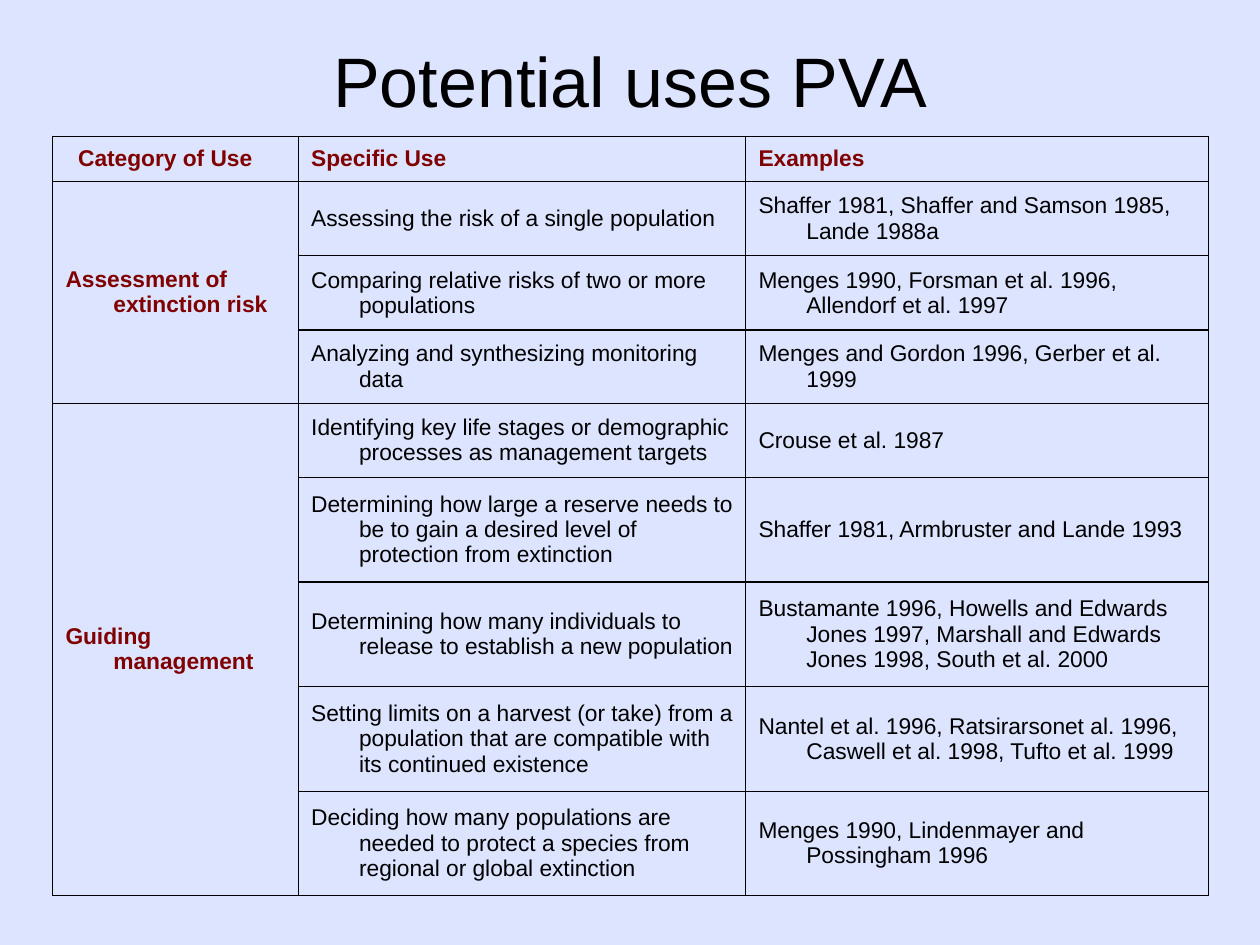
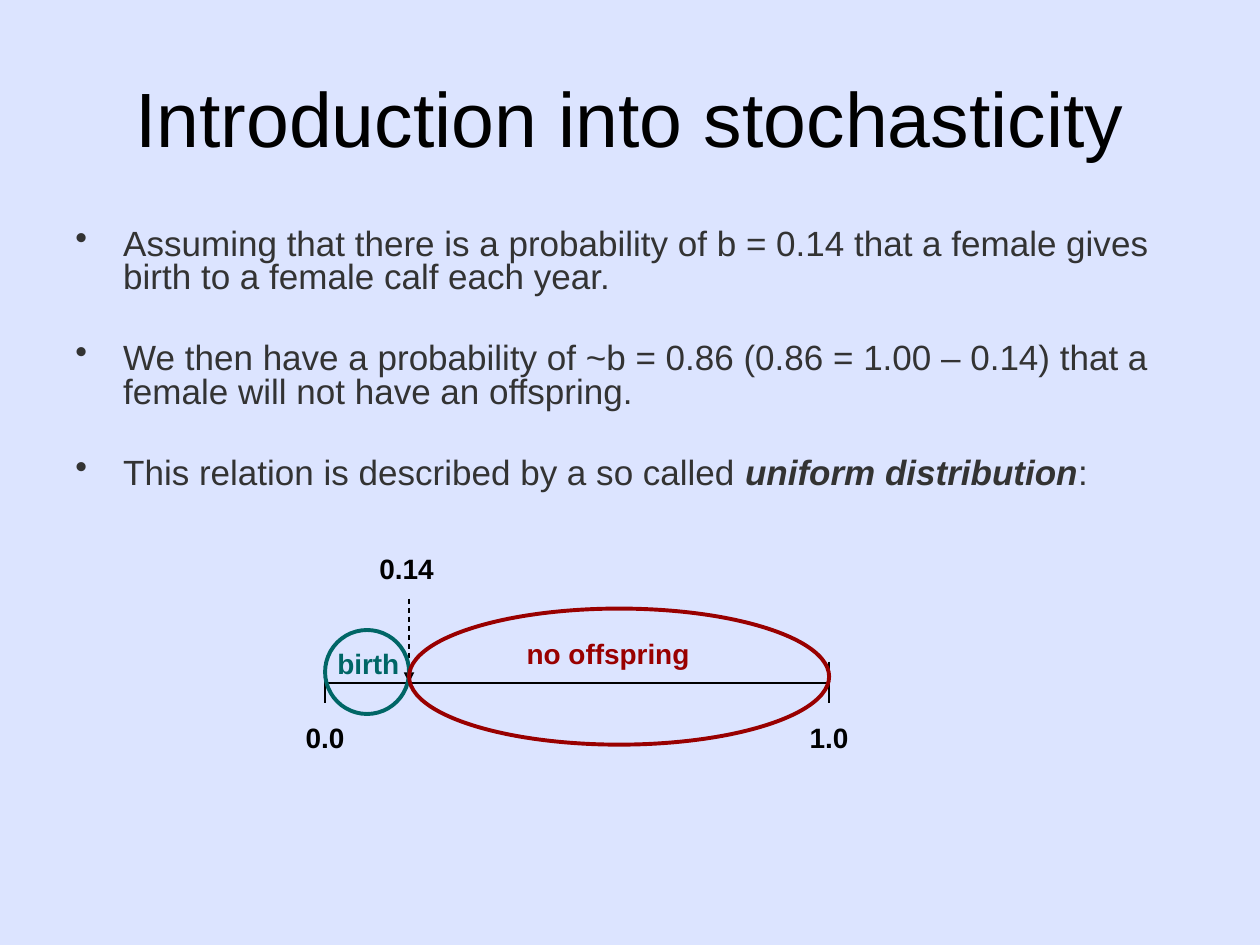
from lxml import etree
from pptx import Presentation
from pptx.dml.color import RGBColor
from pptx.enum.dml import MSO_LINE
from pptx.enum.shapes import MSO_CONNECTOR, MSO_SHAPE
from pptx.enum.text import MSO_ANCHOR, PP_ALIGN
from pptx.oxml.ns import qn
from pptx.util import Inches, Pt

LEFT, CENTER = PP_ALIGN.LEFT, PP_ALIGN.CENTER
TOP, MIDDLE = MSO_ANCHOR.TOP, MSO_ANCHOR.MIDDLE
STRAIGHT, OVAL, DASH = MSO_CONNECTOR.STRAIGHT, MSO_SHAPE.OVAL, MSO_LINE.DASH

FONT = "Arial"
BACKGROUND = "DCE4FF"
BLACK = "000000"
BODY = "333333"
HEADING = "800000"
BIRTH = "006666"
NO_OFFSPRING = "990000"
HANGING = 0.38

COLUMN_WIDTHS = (1.95, 3.55, 3.67)
ROW_HEIGHTS = (0.36, 0.59, 0.59, 0.58, 0.59, 0.83, 0.83, 0.83, 0.83)
HEADERS = ("Category of Use", "Specific Use", "Examples")
USES = {
    "Assessment of extinction risk": (
        ("Assessing the risk of a single population",
         "Shaffer 1981, Shaffer and Samson 1985, Lande 1988a"),
        ("Comparing relative risks of two or more populations",
         "Menges 1990, Forsman et al. 1996, Allendorf et al. 1997"),
        ("Analyzing and synthesizing monitoring data",
         "Menges and Gordon 1996, Gerber et al. 1999"),
    ),
    "Guiding management": (
        ("Identifying key life stages or demographic processes as management targets",
         "Crouse et al. 1987"),
        ("Determining how large a reserve needs to be to gain a desired level of "
         "protection from extinction",
         "Shaffer 1981, Armbruster and Lande 1993"),
        ("Determining how many individuals to release to establish a new population",
         "Bustamante 1996, Howells and Edwards Jones 1997, Marshall and Edwards "
         "Jones 1998, South et al. 2000"),
        ("Setting limits on a harvest (or take) from a population that are "
         "compatible with its continued existence",
         "Nantel et al. 1996, Ratsirarsonet al. 1996, Caswell et al. 1998, "
         "Tufto et al. 1999"),
        ("Deciding how many populations are needed to protect a species from "
         "regional or global extinction",
         "Menges 1990, Lindenmayer and Possingham 1996"),
    ),
}
BULLETS = (
    [("Assuming that there is a probability of b = 0.14 that a female gives "
      "birth to a female calf each year.", False)],
    [("We then have a probability of ~b = 0.86 (0.86 = 1.00 – 0.14) that a "
      "female will not have an offspring.", False)],
    [("This relation is described by a so called ", False),
     ("uniform distribution", True), (":", False)],
)


def color(value):
    return RGBColor.from_string(value)


def write(paragraph, text, size=16, fill=BLACK, bold=False, italic=False,
          align=LEFT, hanging=0, bullet=None):
    """Add one formatted run; repeated calls extend the paragraph."""
    properties = paragraph._p.get_or_add_pPr()
    if hanging:
        properties.set("marL", str(Inches(hanging)))
        properties.set("indent", str(-Inches(hanging)))
    if bullet and properties.find(qn("a:buChar")) is None:
        etree.SubElement(properties, qn("a:buChar"), char=bullet)
    paragraph.alignment = align
    run = paragraph.add_run()
    run.text = text
    font = run.font
    font.name, font.size, font.bold, font.italic = FONT, Pt(size), bold, italic
    font.color.rgb = color(fill)


def add_box(shapes, left, top, width, height, anchor=TOP, wrap=True):
    box = shapes.add_textbox(Inches(left), Inches(top), Inches(width), Inches(height))
    frame = box.text_frame
    frame.word_wrap = wrap
    frame.vertical_anchor = anchor
    return frame


def add_slide(presentation, title, top, height, size):
    slide = presentation.slides.add_slide(presentation.slide_layouts[6])
    slide.background.fill.solid()
    slide.background.fill.fore_color.rgb = color(BACKGROUND)
    frame = add_box(slide.shapes, 0.5, top, 9, height, anchor=MIDDLE)
    write(frame.paragraphs[0], title, size=size, align=CENTER)
    return slide


def add_borders(cell):
    properties = cell._tc.get_or_add_tcPr()
    for position, side in enumerate(("a:lnL", "a:lnR", "a:lnT", "a:lnB")):
        border = etree.Element(qn(side), w=str(Pt(0.75)))
        fill = etree.SubElement(border, qn("a:solidFill"))
        etree.SubElement(fill, qn("a:srgbClr"), val=BLACK)
        properties.insert(position, border)


def add_uses_table(slide, left, top):
    frame = slide.shapes.add_table(
        len(ROW_HEIGHTS), len(COLUMN_WIDTHS), Inches(left), Inches(top),
        Inches(sum(COLUMN_WIDTHS)), Inches(sum(ROW_HEIGHTS)))
    table = frame.table
    table.first_row = table.horz_banding = False
    for column, width in zip(table.columns, COLUMN_WIDTHS):
        column.width = Inches(width)
    for row, height in zip(table.rows, ROW_HEIGHTS):
        row.height = Inches(height)
    for cell in table.iter_cells():
        cell.fill.background()
        cell.vertical_anchor = MIDDLE
        add_borders(cell)

    def fill_cell(row, column, text, heading=False):
        write(table.cell(row, column).text_frame.paragraphs[0], text, size=13,
              fill=HEADING if heading else BLACK, bold=heading, hanging=HANGING)

    for column, header in enumerate(HEADERS):
        fill_cell(0, column, header, heading=True)
    table.cell(0, 0).margin_left = Inches(0.2)
    row = 1
    for category, uses in USES.items():
        table.cell(row, 0).merge(table.cell(row + len(uses) - 1, 0))
        fill_cell(row, 0, category, heading=True)
        for use, examples in uses:
            fill_cell(row, 1, use)
            fill_cell(row, 2, examples)
            row += 1


def add_bullets(slide, left, top, width, height):
    frame = add_box(slide.shapes, left, top, width, height)
    for index, runs in enumerate(BULLETS):
        paragraph = frame.add_paragraph() if index else frame.paragraphs[0]
        for text, strong in runs:
            write(paragraph, text, size=20, fill=BODY, bold=strong, italic=strong,
                  hanging=HANGING, bullet="•")
        paragraph.line_spacing = 0.8
        if index:
            paragraph.space_before = Pt(27)


def add_line(shapes, x1, y1, x2, y2, arrow=False):
    line = shapes.add_connector(STRAIGHT, Inches(x1), Inches(y1), Inches(x2), Inches(y2))
    line.line.color.rgb = color(BLACK)
    line.line.width = Pt(0.75)
    if arrow:
        line.line.dash_style = DASH
        etree.SubElement(line.line._get_or_add_ln(), qn("a:tailEnd"), type="triangle")
    etree.SubElement(line._element.spPr, qn("a:effectLst"))


def add_ellipse(shapes, left, top, width, height, outline):
    ellipse = shapes.add_shape(OVAL, Inches(left), Inches(top), Inches(width), Inches(height))
    ellipse.shadow.inherit = False
    ellipse.fill.background()
    ellipse.line.color.rgb = color(outline)
    ellipse.line.width = Pt(2.25)


def add_label(shapes, text, center, top, width=0.64, fill=BLACK):
    frame = add_box(shapes, center - width / 2, top, width, 0.37, wrap=False)
    write(frame.paragraphs[0], text, fill=fill, bold=True, align=CENTER)


def add_distribution(slide, left, top, width):
    """Draw the 0 to 1 axis with its two outcomes; top is that of the 0.14 label."""
    shapes = slide.shapes.add_group_shape().shapes
    birth_width = width / 6
    split, right, axis = left + birth_width, left + width, top + 1.09
    add_line(shapes, left, axis, right, axis)
    for end, text in ((left, "0.0"), (right, "1.0")):
        add_line(shapes, end, axis - 0.17, end, axis + 0.16)
        add_label(shapes, text, end, top + 1.34)
    add_line(shapes, split, top + 0.42, split, axis, arrow=True)
    add_label(shapes, "0.14", split - 0.02, top)
    add_ellipse(shapes, left, top + 0.67, birth_width, birth_width, BIRTH)
    add_label(shapes, "birth", left + birth_width / 2 + 0.01, top + 0.75, 0.7, BIRTH)
    add_ellipse(shapes, split, top + 0.5, right - split, 1.08, NO_OFFSPRING)
    add_label(shapes, "no offspring", split + 1.58, top + 0.67, 1.5, NO_OFFSPRING)


def main():
    presentation = Presentation()
    presentation.slide_width, presentation.slide_height = Inches(10), Inches(7.5)

    uses = add_slide(presentation, "Potential uses PVA", 0.17, 0.92, 40)
    add_uses_table(uses, 0.42, 1.08)

    stochasticity = add_slide(presentation, "Introduction into stochasticity", 0.3, 1.25, 44)
    add_bullets(stochasticity, 0.5, 1.77, 9, 2.42)
    add_distribution(stochasticity, 2.58, 4.33, 4)

    presentation.save("out.pptx")


if __name__ == "__main__":
    main()
